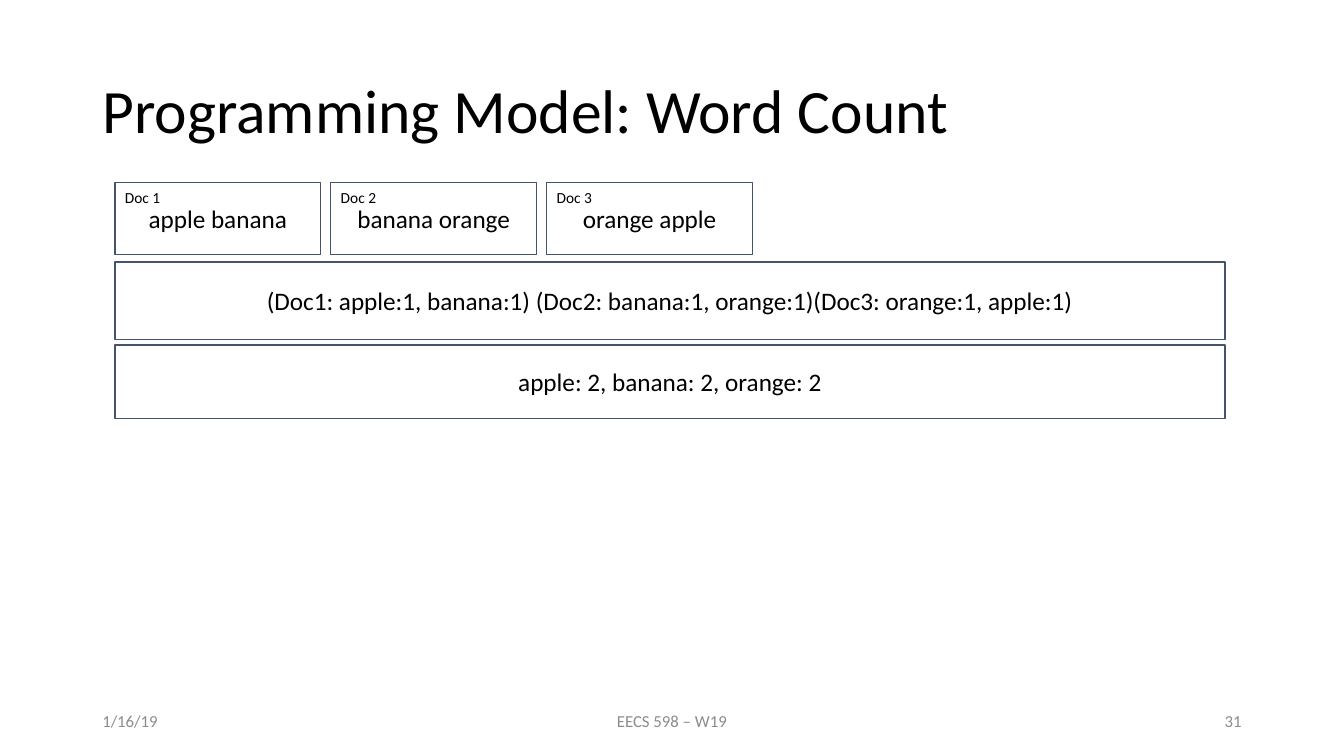
from pptx import Presentation
from pptx.dml.color import RGBColor
from pptx.enum.shapes import MSO_SHAPE
from pptx.enum.text import MSO_ANCHOR, PP_ALIGN
from pptx.util import Pt

COLORS = {"text": "000000", "line": "44546A", "footer": "8C8C8C"}
FONT = "Calibri"


class SlideBuilder:
    def __init__(self, slide):
        self.s = slide

    def set_text(self, sp, text, size, color="text", align=PP_ALIGN.LEFT,
                 anchor=MSO_ANCHOR.MIDDLE):
        tf = sp.text_frame
        tf.word_wrap = True
        tf.vertical_anchor = anchor
        p = tf.paragraphs[0]
        p.alignment = align
        r = p.add_run()
        r.text = text
        r.font.size = Pt(size)
        r.font.name = FONT
        r.font.color.rgb = RGBColor.from_string(COLORS[color])
        return p

    def title(self, text, x, y, w, h):
        sp = self.s.shapes.title
        sp.left, sp.top, sp.width, sp.height = Pt(x), Pt(y), Pt(w), Pt(h)
        self.set_text(sp, text, 44).line_spacing = 0.9

    def box(self, text, x, y, w, h):
        sp = self.s.shapes.add_shape(
            MSO_SHAPE.RECTANGLE, Pt(x), Pt(y), Pt(w), Pt(h))
        sp.shadow.inherit = False
        sp.fill.background()
        sp.line.color.rgb = RGBColor.from_string(COLORS["line"])
        sp.line.width = Pt(1)
        self.set_text(sp, text, 18, align=PP_ALIGN.CENTER)

    def label(self, text, x, y, w, h, size, **style):
        sp = self.s.shapes.add_textbox(Pt(x), Pt(y), Pt(w), Pt(h))
        self.set_text(sp, text, size, **style)


def main():
    prs = Presentation()
    prs.slide_width, prs.slide_height = Pt(960), Pt(540)
    b = SlideBuilder(prs.slides.add_slide(prs.slide_layouts[5]))

    b.title("Programming Model: Word Count", 66, 28.75, 828, 104.4)

    left, doc_top, doc_pitch = 82.1, 130.6, 154.2
    docs = ["apple banana", "banana orange", "orange apple"]
    for i, words in enumerate(docs):
        x = left + i * doc_pitch
        b.box(words, x, doc_top, 147, 51.2)
        b.label(f"Doc {i + 1}", x, doc_top, 64, 20.6, 11,
                anchor=MSO_ANCHOR.TOP)

    b.box("(Doc1: apple:1, banana:1) (Doc2: banana:1, orange:1)"
          "(Doc3: orange:1, apple:1)", left, 187.2, 792.9, 55.4)
    b.box("apple: 2, banana: 2, orange: 2", left, 246.4, 792.9, 52.4)

    footers = [("1/16/19", 66, 216, PP_ALIGN.LEFT),
               ("EECS 598 – W19", 318, 324, PP_ALIGN.CENTER),
               ("31", 678, 216, PP_ALIGN.RIGHT)]
    for text, x, w, align in footers:
        b.label(text, x, 500.5, w, 28.75, 12, color="footer", align=align)

    prs.save("out.pptx")


if __name__ == "__main__":
    main()
